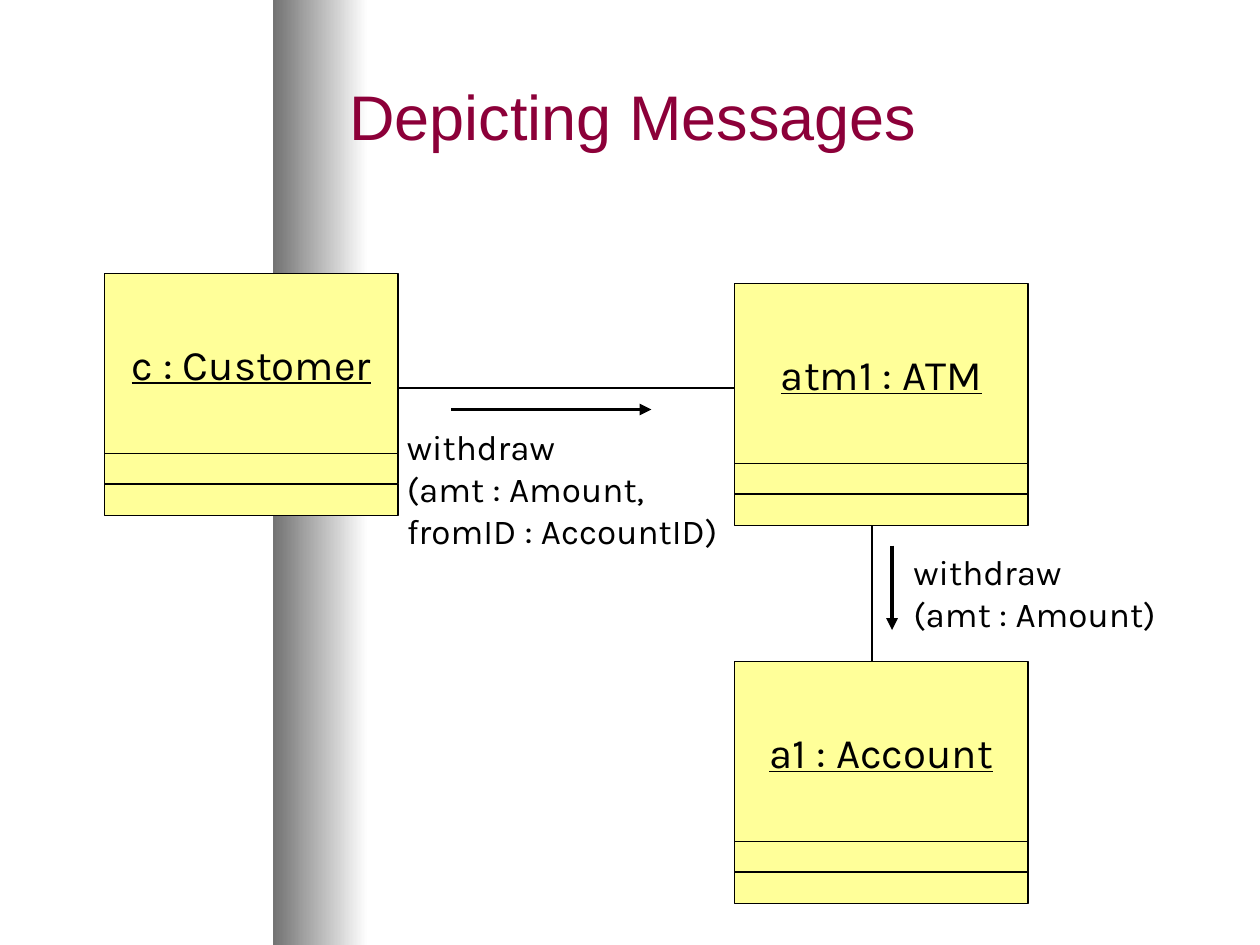
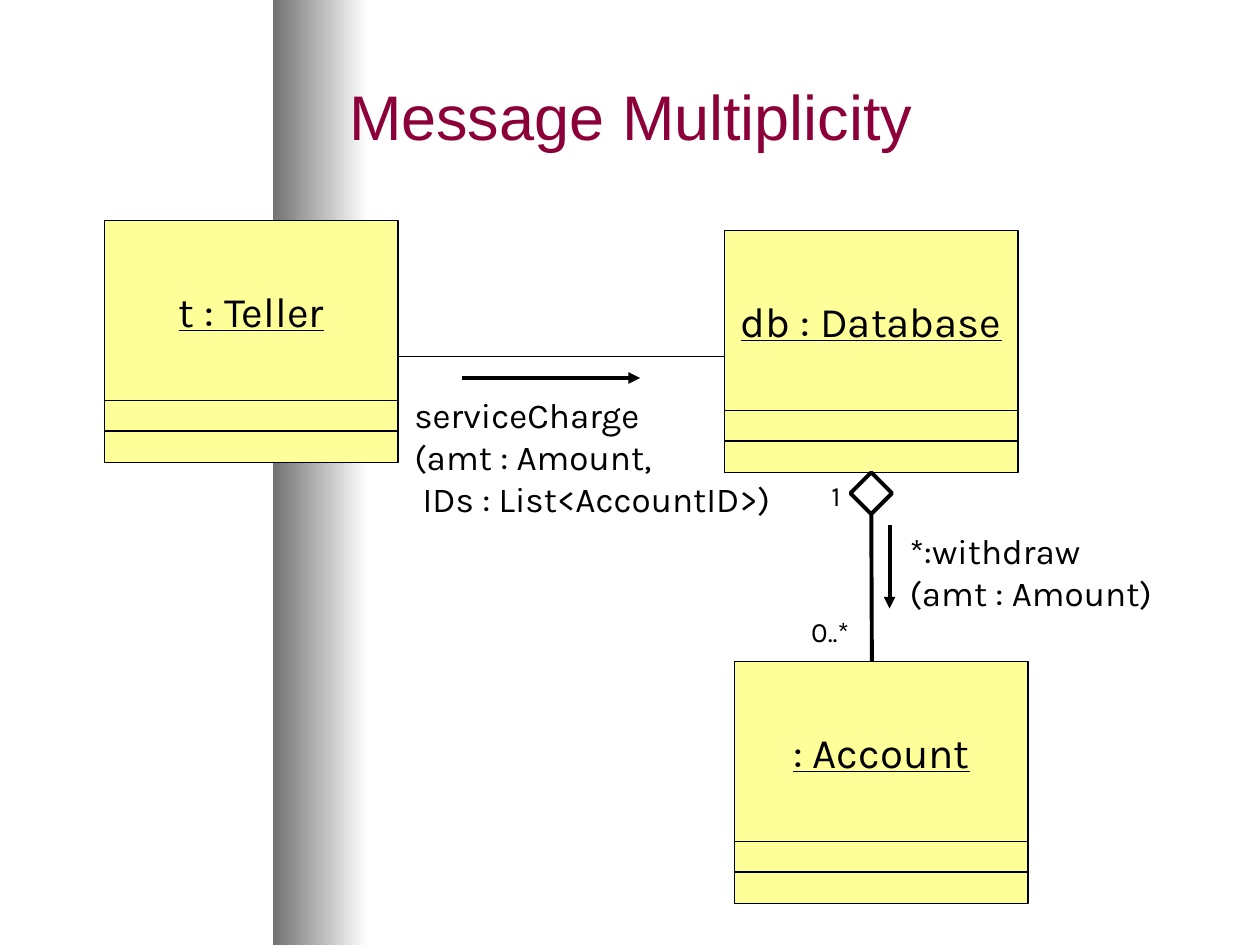
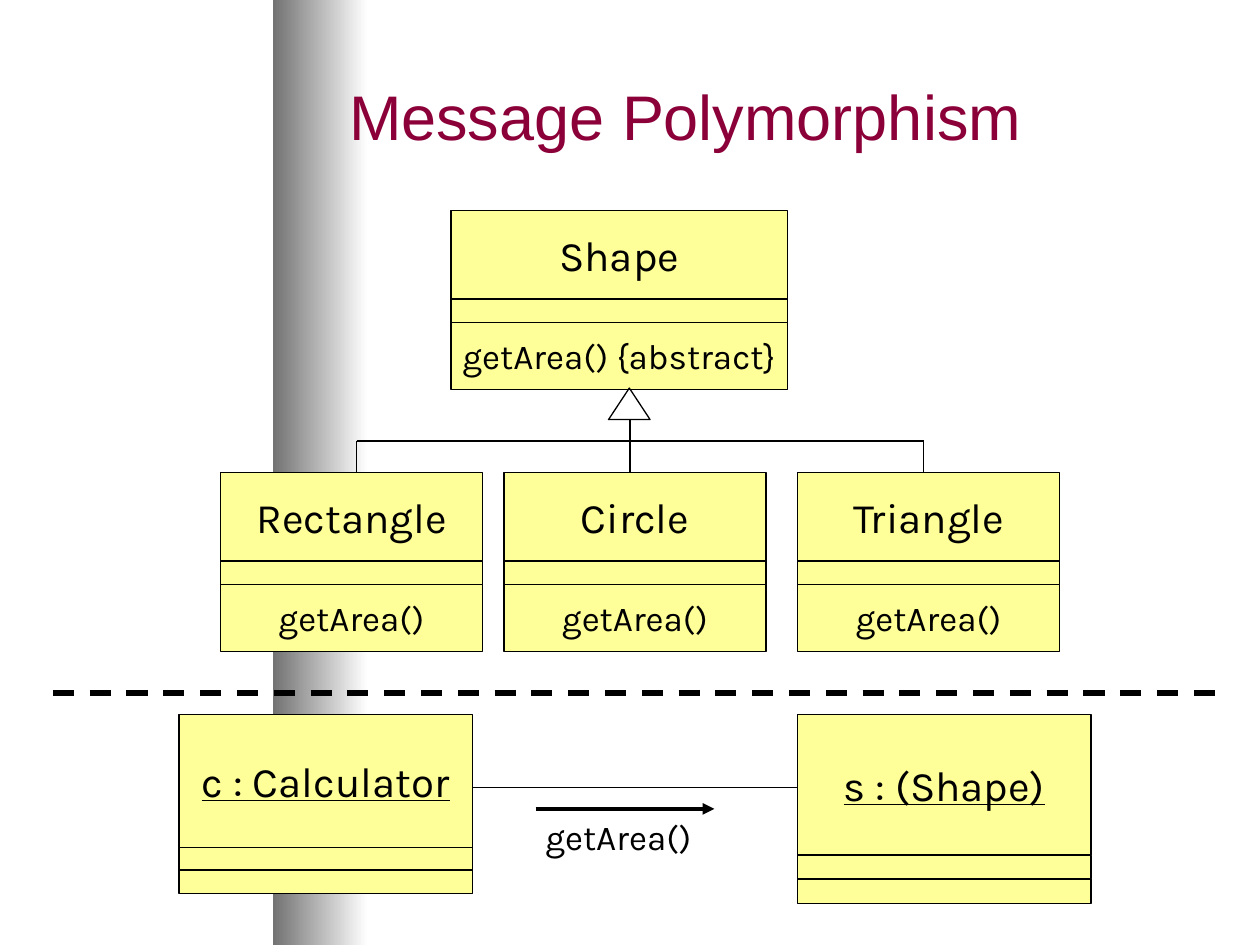
from lxml import etree
from pptx import Presentation
from pptx import util as u
from pptx.dml.color import RGBColor
from pptx.enum import dml, shapes, text
from pptx.oxml.ns import qn

BLACK, YELLOW, MAROON, WHITE, GREY = "000000", "FFFF99", "8C0039", "FFFFFF", "737373"
BODY_FONT, TITLE_FONT = "Karla", "Arial"
THIN, THICK, DIVIDER = 0.75, 2.25, 3
OBJECT_ROWS = (0.745, 0.125, 0.13)
CLASS_ROWS = (0.495, 0.13, 0.375)
OBJECT_SIZE = (2.33, 1.92)


def color(value):
    """Turn a hex string into a colour."""
    return RGBColor.from_string(value)


def write(tf, content, size=20, font=BODY_FONT, fill=BLACK, underline=None,
          align=text.PP_ALIGN.LEFT, anchor=text.MSO_ANCHOR.TOP, wrap=False):
    """Write each line of the content as one formatted paragraph."""
    tf.word_wrap = wrap
    tf.vertical_anchor = anchor
    for i, line in enumerate(content.split("\n")):
        p = tf.paragraphs[0] if i == 0 else tf.add_paragraph()
        p.alignment = align
        r = p.add_run()
        r.text = line
        r.font.size = u.Pt(size)
        r.font.name = font
        r.font.underline = underline
        r.font.color.rgb = color(fill)


def add_shape(s, kind, left, top, width, height, fill=None, line=THIN):
    """Add a flat outlined shape, hollow unless a fill is given."""
    sp = s.shapes.add_shape(kind, *map(u.Inches, (left, top, width, height)))
    sp.shadow.inherit = False
    if fill:
        sp.fill.solid()
        sp.fill.fore_color.rgb = color(fill)
    else:
        sp.fill.background()
    sp.line.color.rgb = color(BLACK)
    sp.line.width = u.Pt(line)
    return sp


def add_line(s, x1, y1, x2, y2, width=THIN, arrow=False, dash=None):
    """Add a straight black line, with an arrowhead at its end if asked."""
    cx = s.shapes.add_connector(shapes.MSO_CONNECTOR.STRAIGHT,
                                *map(u.Inches, (x1, y1, x2, y2)))
    cx.line.color.rgb = color(BLACK)
    cx.line.width = u.Pt(width)
    if dash:
        cx.line.dash_style = dash
    if arrow:
        etree.SubElement(cx.line._get_or_add_ln(), qn("a:tailEnd"), type="triangle")
    etree.SubElement(cx._element.spPr, qn("a:effectLst"))
    return cx


def add_label(s, left, top, width, height, content, size=20):
    """Add an unwrapped text label."""
    sp = s.shapes.add_textbox(*map(u.Inches, (left, top, width, height)))
    write(sp.text_frame, content, size=size)
    sp.text_frame.auto_size = text.MSO_AUTO_SIZE.SHAPE_TO_FIT_TEXT


def add_compartments(s, left, top, width, height, rows, labels, underline=None):
    """Stack the name, attribute and operation rows of a UML box."""
    for share, (label, size) in zip(rows, labels):
        sp = add_shape(s, shapes.MSO_SHAPE.RECTANGLE, left, top, width,
                       height * share, YELLOW)
        if label:
            write(sp.text_frame, label, size=size, underline=underline,
                  align=text.PP_ALIGN.CENTER, anchor=text.MSO_ANCHOR.MIDDLE)
        top += height * share


def add_object(s, left, top, name, size=OBJECT_SIZE):
    """Add a UML object with an underlined name."""
    add_compartments(s, left, top, *size, OBJECT_ROWS,
                     ((name, 24), ("", 0), ("", 0)), underline=True)


def add_class(s, left, top, width, name, operation):
    """Add a UML class with one operation."""
    add_compartments(s, left, top, width, 1.42, CLASS_ROWS,
                     ((name, 24), ("", 0), (operation, 20)))


def add_slide(prs, title):
    """Add a title-only slide with its title set."""
    s = prs.slides.add_slide(prs.slide_layouts[5])
    sp = s.shapes.title
    sp.left, sp.top, sp.width, sp.height = map(u.Inches, (2.67, 0.25, 7, 1.33))
    write(sp.text_frame, title, size=36, font=TITLE_FONT, fill=MAROON,
          anchor=text.MSO_ANCHOR.MIDDLE, wrap=True)
    sp.text_frame.auto_size = text.MSO_AUTO_SIZE.NONE
    return s


def add_master_band(prs, s):
    """Build the grey gradient band and place it behind all on the master."""
    sp = add_shape(s, shapes.MSO_SHAPE.RECTANGLE, 2.17, 0, 0.75, 7.5)
    sp.line.fill.background()
    sp.fill.gradient()
    sp.fill.gradient_angle = 180
    for stop, shade in zip(sp.fill.gradient_stops, (WHITE, GREY)):
        stop.color.rgb = color(shade)
    prs.slide_master.shapes._spTree.insert(2, sp._element)


def build_messages(s):
    """Show a withdrawal passed from customer to ATM to account."""
    add_object(s, 0.83, 2.17, "c : Customer")
    add_object(s, 5.83, 2.25, "atm1 : ATM")
    add_object(s, 5.83, 5.25, "a1 : Account")
    add_line(s, 3.17, 3.08, 5.83, 3.08)
    add_line(s, 6.92, 4.17, 6.92, 5.25)
    add_line(s, 3.58, 3.25, 5.17, 3.25, THICK, arrow=True)
    add_line(s, 7.08, 4.33, 7.08, 5, THICK, arrow=True)
    add_label(s, 3.13, 3.33, 2.79, 1.1,
              "withdraw\n(amt : Amount,\nfromID : AccountID)")
    add_label(s, 7.15, 4.32, 2.15, 0.77, "withdraw\n(amt : Amount)")


def build_multiplicity(s):
    """Show one service charge sent on to many accounts."""
    add_object(s, 0.83, 1.75, "t : Teller")
    add_object(s, 5.75, 1.83, "db : Database")
    add_object(s, 5.83, 5.25, ": Account")
    add_line(s, 3.17, 2.83, 5.75, 2.83)
    add_line(s, 3.67, 3, 5.08, 3, THICK, arrow=True)
    add_line(s, 7.06, 4.17, 7.06, 4.83, THICK, arrow=True)
    diamond = add_shape(s, shapes.MSO_SHAPE.DIAMOND, 6.75, 3.75, 0.33, 0.33, line=THICK)
    add_line(s, 6.92, 4.08, 6.92, 5.25, THICK).begin_connect(diamond, 2)
    add_label(s, 3.19, 3.07, 3.13, 1.1,
              "serviceCharge\n(amt : Amount,\n IDs : List<AccountID>)")
    add_label(s, 7.12, 4.15, 2.15, 0.77, "*:withdraw\n(amt : Amount)")
    add_label(s, 6.5, 3.75, 0.32, 0.37, "1", size=16)
    add_label(s, 6.34, 4.83, 0.57, 0.37, "0..*", size=16)


def build_inheritance(s):
    """Show the abstract class above its three subclasses."""
    add_class(s, 3.58, 1.67, 2.67, "Shape", "getArea() {abstract}")
    subclasses = (("Rectangle", 1.75, 2.83), ("Circle", 4, 5), ("Triangle", 6.33, 7.33))
    for name, left, stem in subclasses:
        add_class(s, left, 3.75, 2.08, name, "getArea()")
        add_line(s, stem, 3.5, stem, 3.75)
    add_line(s, subclasses[0][2], 3.5, subclasses[-1][2], 3.5)
    add_shape(s, shapes.MSO_SHAPE.ISOSCELES_TRIANGLE, 4.83, 3.08, 0.33, 0.25)
    add_line(s, 5, 3.33, 5, 3.5)


def build_polymorphic_call(s):
    """Show the calculator calling any shape, below a dashed divider."""
    add_line(s, 0.42, 5.5, 9.67, 5.5, DIVIDER, dash=dml.MSO_LINE.DASH)
    add_object(s, 1.42, 5.67, "c : Calculator", (2.33, 1.42))
    add_object(s, 6.33, 5.67, "s : (Shape)", (2.33, 1.5))
    add_line(s, 3.75, 6.25, 6.33, 6.25)
    add_line(s, 4.25, 6.42, 5.67, 6.42, THICK, arrow=True)
    add_label(s, 4.23, 6.42, 1.4, 0.44, "getArea()")


def build_polymorphism(s):
    """Show the class hierarchy and a call that uses it."""
    build_inheritance(s)
    build_polymorphic_call(s)


def main():
    """Build the three slides and save them."""
    prs = Presentation()
    prs.slide_width, prs.slide_height = u.Inches(10), u.Inches(7.5)
    for title, build in (("Depicting Messages", build_messages),
                         ("Message Multiplicity", build_multiplicity),
                         ("Message Polymorphism", build_polymorphism)):
        build(add_slide(prs, title))
    add_master_band(prs, prs.slides[0])
    prs.save("out.pptx")


if __name__ == "__main__":
    main()
